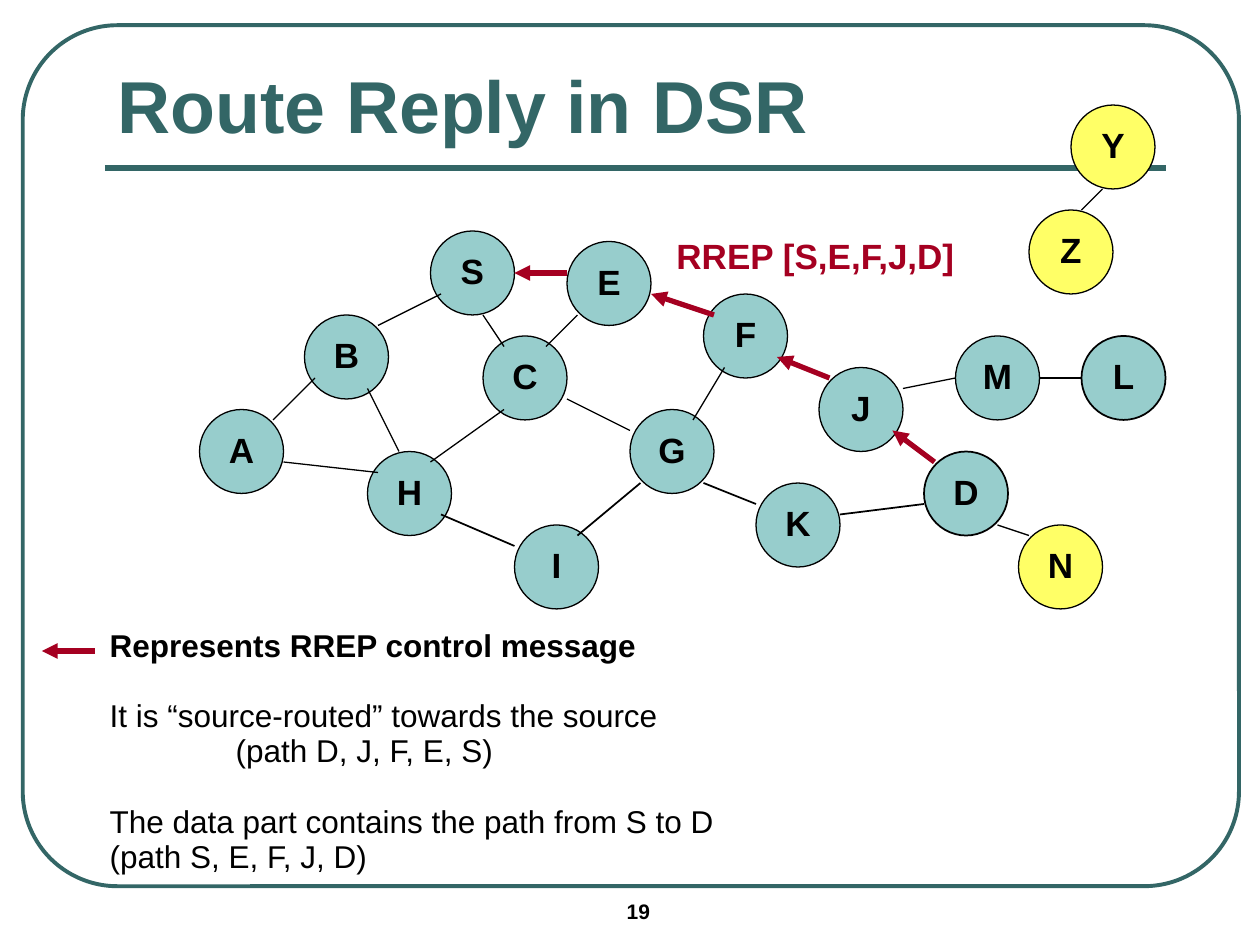
from lxml import etree
from pptx import Presentation
from pptx.dml.color import RGBColor
from pptx.enum.shapes import MSO_CONNECTOR, MSO_SHAPE
from pptx.enum.text import MSO_ANCHOR, MSO_AUTO_SIZE, PP_ALIGN
from pptx.oxml.ns import qn
from pptx.util import Pt

STRAIGHT = MSO_CONNECTOR.STRAIGHT
OVAL, ROUNDED = MSO_SHAPE.OVAL, MSO_SHAPE.ROUNDED_RECTANGLE
TOP, MIDDLE, BOTTOM = MSO_ANCHOR.TOP, MSO_ANCHOR.MIDDLE, MSO_ANCHOR.BOTTOM
LEFT, CENTER = PP_ALIGN.LEFT, PP_ALIGN.CENTER
NO_AUTOFIT = MSO_AUTO_SIZE.NONE

BLACK = RGBColor(0x00, 0x00, 0x00)
GREEN = RGBColor(0x33, 0x66, 0x66)
TEAL = RGBColor(0x97, 0xCD, 0xCC)
YELLOW = RGBColor(0xFF, 0xFF, 0x66)
RED = RGBColor(0xA5, 0x00, 0x21)

FONT = "Arial"
GRID = 6        # the network is laid out on a 6 pt grid
NODE_SIZE = 48
LINE_PITCH = 20.15

# Top left corner of each node, in grid steps
NODES = {
    "S": (41, 22), "E": (54, 23), "F": (67, 28), "B": (29, 30),
    "C": (46, 32), "J": (78, 35), "M": (91, 32), "L": (103, 32),
    "A": (19, 39), "G": (60, 39), "H": (35, 43), "D": (88, 43),
    "K": (72, 46), "I": (49, 50), "N": (97, 50), "Z": (98, 20),
    "Y": (102, 10),
}
UNREACHED = "YZN"
HEAVY_OUTLINE = "DL"

# Start and end of each link, in grid steps
LINKS = [
    (26, 40, 30, 36),    # A-B
    (36, 31, 42, 28),    # B-S
    (27, 44, 36, 45),    # A-H
    (35, 37, 38, 43),    # B-H
    (48, 39, 41, 44),    # C-H
    (55, 30, 52, 33),    # E-C
    (46, 30, 48, 33),    # S-C
    (69, 35, 66, 40),    # F-G
    (54, 38, 60, 41),    # C-G
    (105, 18, 103, 20),  # Y-Z
    (95, 50, 98, 51),    # D-N
    (86, 37, 91, 36),    # J-M
    (99, 36, 103, 36),   # M-L
]
HEAVY_LINKS = [
    (61, 46, 55, 51),    # G-I
    (42, 49, 49, 52),    # H-I
    (67, 46, 72, 48),    # G-K
    (88, 48, 80, 49),    # D-K
]
REPLY_ARROWS = [
    (89, 44, 85, 41),    # D to J
    (79, 36, 74, 34),    # J to F
    (68, 30, 62, 28),    # F to E
    (54, 26, 49, 26),    # E to S
    (9, 62, 4, 62),      # legend
]

# Text, bold, left indent, space before
NOTES = [
    ("Represents RREP control message", True, 0, 0),
    ("It is “source-routed” towards the source", False, 0, LINE_PITCH),
    ("(path D, J, F, E, S)", False, 72, 0),
    ("The data part contains the path from S to D", False, 0, LINE_PITCH),
    ("(path S, E, F, J, D)", False, 0, 0),
]


def place(shape, left, top, width, height):
    shape.left, shape.top = Pt(left), Pt(top)
    shape.width, shape.height = Pt(width), Pt(height)


def prepare_frame(frame, anchor, wrap=True):
    frame.auto_size = NO_AUTOFIT
    frame.word_wrap = wrap
    frame.vertical_anchor = anchor


def write(paragraph, text, size, color, bold=True, align=LEFT, spacing=0.93):
    paragraph.alignment = align
    paragraph.line_spacing = spacing
    run = paragraph.add_run()
    run.text = text
    run.font.name = FONT
    run.font.size = Pt(size)
    run.font.bold = bold
    run.font.color.rgb = color


def add_line(slide, ends, color, width, arrow=False):
    line = slide.shapes.add_connector(STRAIGHT, *[Pt(end) for end in ends])
    line.line.color.rgb = color
    line.line.width = Pt(width)
    if arrow:
        outline = line.line._get_or_add_ln()
        etree.SubElement(outline, qn("a:tailEnd"), type="triangle")
    etree.SubElement(line._element.spPr, qn("a:effectLst"))


def add_links(slide, links, color, width, arrow=False):
    for link in links:
        add_line(slide, [step * GRID for step in link], color, width, arrow)


def add_node(slide, letter, column, row):
    node = slide.shapes.add_shape(OVAL, Pt(column * GRID), Pt(row * GRID),
                                  Pt(NODE_SIZE), Pt(NODE_SIZE))
    node.shadow.inherit = False
    node.fill.solid()
    node.fill.fore_color.rgb = YELLOW if letter in UNREACHED else TEAL
    node.line.color.rgb = BLACK
    node.line.width = Pt(1 if letter in HEAVY_OUTLINE else 0.75)
    prepare_frame(node.text_frame, MIDDLE, wrap=False)
    write(node.text_frame.paragraphs[0], letter, 20, BLACK, align=CENTER)


def add_label(slide, box, text, size, color, align):
    label = slide.shapes.add_textbox(*[Pt(length) for length in box])
    prepare_frame(label.text_frame, MIDDLE)
    write(label.text_frame.paragraphs[0], text, size, color, align=align)


def add_frame(slide):
    frame = slide.shapes.add_shape(ROUNDED, Pt(13), Pt(14.4), Pt(695), Pt(492))
    frame.adjustments[0] = 0.11
    frame.shadow.inherit = False
    frame.fill.background()
    frame.line.color.rgb = GREEN
    frame.line.width = Pt(2.25)


def fill_title(title):
    place(title, 60, 34.5, 606, 55)
    prepare_frame(title.text_frame, BOTTOM)
    write(title.text_frame.paragraphs[0], "Route Reply in DSR", 42, GREEN)


def fill_notes(body):
    place(body, 55.5, 355.5, 375, 148.5)
    frame = body.text_frame
    prepare_frame(frame, TOP)
    for index, (text, bold, indent, before) in enumerate(NOTES):
        paragraph = frame.add_paragraph() if index else frame.paragraphs[0]
        properties = paragraph._p.get_or_add_pPr()
        properties.set("marL", str(Pt(indent)))
        properties.set("indent", "0")
        etree.SubElement(properties, qn("a:buNone"))
        paragraph.space_before = Pt(before)
        write(paragraph, text, 18, BLACK, bold, spacing=Pt(LINE_PITCH))


def main():
    deck = Presentation()
    deck.slide_width, deck.slide_height = Pt(720), Pt(540)
    slide = deck.slides.add_slide(deck.slide_layouts[1])

    # Page furniture and title
    add_frame(slide)
    add_line(slide, (60, 96, 666, 96), GREEN, 3)
    add_label(slide, (351, 511, 84, 21), "19", 12, BLACK, LEFT)
    fill_title(slide.shapes.title)

    # Network
    for letter, (column, row) in NODES.items():
        add_node(slide, letter, column, row)
    add_links(slide, LINKS, BLACK, 0.75)
    add_links(slide, HEAVY_LINKS, BLACK, 1)

    # Route reply and its explanation
    add_links(slide, REPLY_ARROWS, RED, 3, arrow=True)
    add_label(slide, (376, 132.5, 180, 29.5), "RREP [S,E,F,J,D]", 20, RED, CENTER)
    fill_notes(slide.placeholders[1])

    deck.save("out.pptx")


if __name__ == "__main__":
    main()
